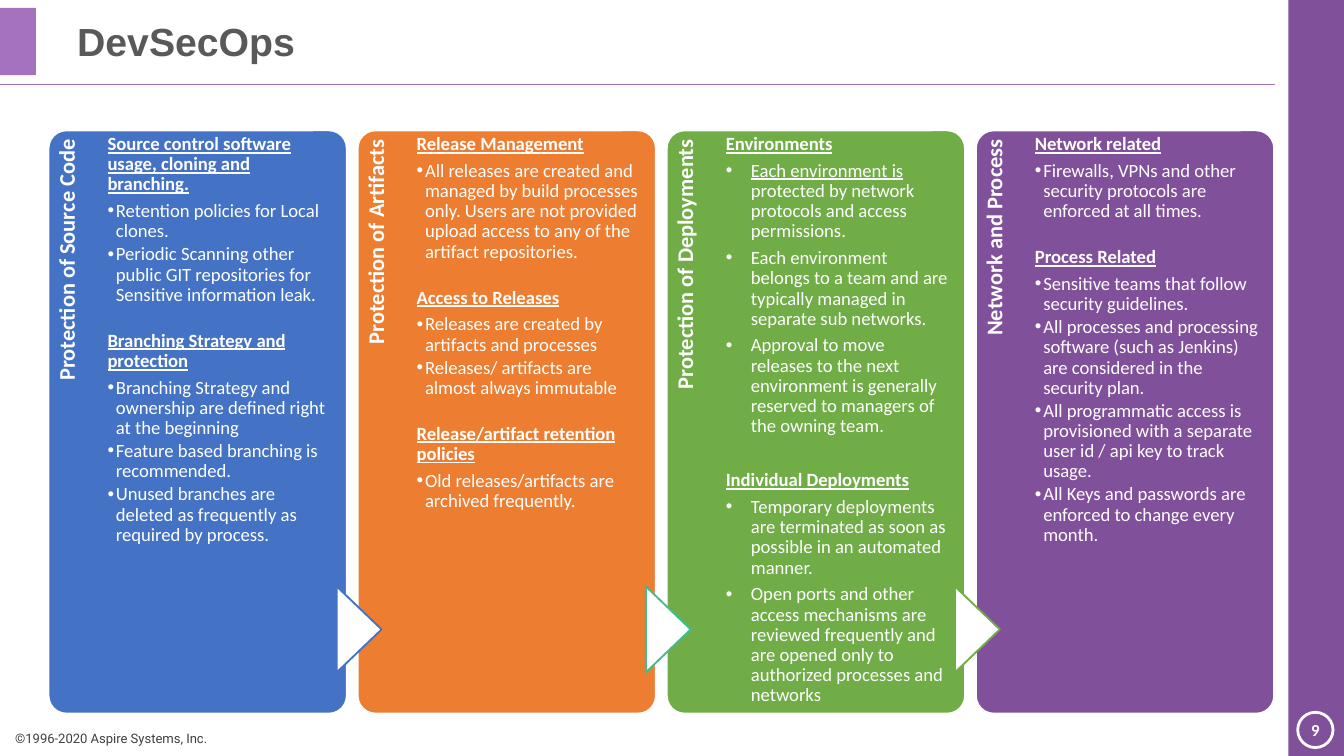
from pptx import Presentation
from pptx.dml.color import RGBColor
from pptx.enum.shapes import MSO_CONNECTOR, MSO_SHAPE
from pptx.enum.text import MSO_ANCHOR, MSO_AUTO_SIZE, PP_ALIGN
from pptx.oxml.ns import qn
from pptx.util import Pt
from lxml.etree import SubElement

WHITE = RGBColor(0xFF, 0xFF, 0xFF)
PURPLE = RGBColor(0x81, 0x50, 0x9B)
LILAC = RGBColor(0xA4, 0x72, 0xBE)
BLUE = RGBColor(0x44, 0x72, 0xC4)
ORANGE = RGBColor(0xED, 0x7D, 0x31)
GREEN = RGBColor(0x70, 0xAD, 0x47)
TEAL = RGBColor(0x43, 0xBB, 0x8D)
TITLE_GREY = RGBColor(0x59, 0x59, 0x59)
FOOTER_GREY = RGBColor(0x40, 0x40, 0x40)

# Bullet styles: indent, space after, space before a following heading
TIGHT = (4.5, 1.5, 12.3)
WIDE = (13.5, 3.5, 14.6)

# Each column: label, fill, line of the arrow leading into it, bullet style, sections
COLUMNS = [
    ("Protection of Source Code", BLUE, None, TIGHT, [
        ("Source control software usage, cloning and branching.", [
            "Retention policies for Local clones.",
            "Periodic Scanning other public GIT repositories for Sensitive information leak."]),
        ("Branching Strategy and protection", [
            "Branching Strategy and ownership are defined right at the beginning",
            "Feature based branching is recommended.",
            "Unused branches are deleted as frequently as required by process."])]),
    ("Protection of Artifacts", ORANGE, BLUE, TIGHT, [
        ("Release Management", [
            "All releases are created and managed by build processes only. Users are not "
            "provided upload access to any of the artifact repositories."]),
        ("Access to Releases", [
            "Releases are created by artifacts and processes",
            "Releases/ artifacts are almost always immutable"]),
        ("Release/artifact retention policies", [
            "Old releases/artifacts are archived frequently."])]),
    ("Protection of Deployments", GREEN, TEAL, WIDE, [
        ("Environments", [
            ("Each environment is ", "protected by network protocols and access permissions."),
            "Each environment belongs to a team and are typically managed in separate sub networks.",
            "Approval to move releases to the next environment is generally reserved to "
            "managers of the owning team."]),
        ("Individual Deployments", [
            "Temporary deployments are terminated as soon as possible in an automated manner.",
            "Open ports and other access mechanisms are reviewed frequently and are opened "
            "only to authorized processes and networks"])]),
    ("Network and Process", PURPLE, GREEN, TIGHT, [
        ("Network related", [
            "Firewalls, VPNs and other security protocols are enforced at all times."]),
        ("Process Related", [
            "Sensitive teams that follow security guidelines.",
            "All processes and processing software (such as Jenkins) are considered in the "
            "security plan.",
            "All programmatic access is provisioned with a separate user id / api key to "
            "track usage.",
            "All Keys and passwords are enforced to change every month."])]),
]


def place(sp, x, y, w, h):
    sp.left, sp.top, sp.width, sp.height = Pt(x), Pt(y), Pt(w), Pt(h)


def set_frame(sp, left, top, right, bottom, anchor=MSO_ANCHOR.TOP, wrap=True):
    tf = sp.text_frame
    tf.word_wrap, tf.auto_size, tf.vertical_anchor = wrap, MSO_AUTO_SIZE.NONE, anchor
    tf.margin_left, tf.margin_top = Pt(left), Pt(top)
    tf.margin_right, tf.margin_bottom = Pt(right), Pt(bottom)
    return tf


def add_run(p, text, size, color=WHITE, font="Calibri", bold=False, underline=False):
    r = p.add_run()
    r.text = text
    f = r.font
    f.name, f.size, f.bold, f.underline = font, Pt(size), bold, underline
    f.color.rgb = color


def add_shape(s, kind, x, y, w, h, fill=None, line=None, weight=1):
    sp = s.shapes.add_shape(kind, Pt(x), Pt(y), Pt(w), Pt(h))
    sp.shadow.inherit = False
    if fill is None:
        sp.fill.background()
    else:
        sp.fill.solid()
        sp.fill.fore_color.rgb = fill
    if line is None:
        sp.line.fill.background()
    else:
        sp.line.color.rgb = line
        sp.line.width = Pt(weight)
    return sp


def format_paragraph(p, before, after, bullet_indent=None):
    pPr = p._p.get_or_add_pPr()
    indent = Pt(bullet_indent or 0)
    pPr.set("marL", str(indent))
    pPr.set("indent", str(-indent))
    p.alignment = PP_ALIGN.LEFT
    p.line_spacing, p.space_before, p.space_after = 0.9, Pt(before), Pt(after)
    if bullet_indent is None:
        SubElement(pPr, qn("a:buNone"))
    else:
        SubElement(pPr, qn("a:buFont"), typeface="Arial")
        SubElement(pPr, qn("a:buChar"), char="•")


def header(s, x, y, w, h):
    # Accent block, title and rule
    add_shape(s, MSO_SHAPE.RECTANGLE, x, y + 4.3, 19.2, 36, LILAC)
    title = s.shapes.title
    place(title, x + 36, y + 6.5, 638.6, 31)
    p = set_frame(title, 5.3, 2.6, 5.3, 2.6, MSO_ANCHOR.MIDDLE).paragraphs[0]
    p.alignment = PP_ALIGN.LEFT
    add_run(p, "DevSecOps", 21, TITLE_GREY, "Arial", True)
    rule = s.shapes.add_connector(MSO_CONNECTOR.STRAIGHT, Pt(x), Pt(y + h), Pt(x + w), Pt(y + h))
    rule.line.color.rgb = LILAC
    rule.line.width = Pt(0.5)
    SubElement(rule._element.spPr, qn("a:effectLst"))


def side_band(s, x, y, w, h):
    # Band with the page number in a ring
    add_shape(s, MSO_SHAPE.RECTANGLE, x, y, w, h, PURPLE)
    ring = add_shape(s, MSO_SHAPE.OVAL, x + 5, y + h - 23.4, 18.9, 18.9, None, WHITE, 1.5)
    p = set_frame(ring, 0, 0, 0, 0, MSO_ANCHOR.MIDDLE, False).paragraphs[0]
    p.alignment = PP_ALIGN.CENTER
    add_run(p, "9", 9, bold=True)


def footer(s, x, y, w, h):
    box = s.shapes.add_textbox(Pt(x), Pt(y), Pt(w), Pt(h))
    p = set_frame(box, 5.3, 2.6, 5.3, 2.6).paragraphs[0]
    add_run(p, "©1996-2020 Aspire Systems, Inc.", 7, FOOTER_GREY, "Roboto")


def column(s, body, x, y, w, h, label, fill, arrow_line, style, sections):
    # Card turned a quarter to the left, so its label runs upwards
    card = add_shape(s, MSO_SHAPE.ROUNDED_RECTANGLE, x + (w - h) / 2, y + (h - w) / 2,
                     h, w, fill, WHITE)
    card.rotation = 270
    card.adjustments[0] = 0.06
    p = set_frame(card, 30, 1, 2, 118).paragraphs[0]
    p.alignment, p.line_spacing = PP_ALIGN.RIGHT, 0.9
    add_run(p, label, 12, bold=True)

    # Arrow from the column before
    if arrow_line is not None:
        arrow = add_shape(s, MSO_SHAPE.FLOWCHART_EXTRACT, x - 22.2, y + 255.4, 46, 24,
                          WHITE, arrow_line)
        arrow.rotation = 90

    # Sections, brought in front of the card
    s.shapes.element.append(body.element)
    place(body, x + 31.6, y, 119.6, h)
    tf = set_frame(body, 0, 2.2, 0, 0)
    indent, after, gap = style
    for i, (heading, items) in enumerate(sections):
        p = tf.add_paragraph() if i else tf.paragraphs[0]
        format_paragraph(p, gap if i else 0, 3.5)
        add_run(p, heading, 10, bold=True, underline=True)
        for item in items:
            p = tf.add_paragraph()
            format_paragraph(p, 0, after, indent)
            lead, rest = item if isinstance(item, tuple) else ("", item)
            if lead:
                add_run(p, lead, 10, underline=True)
            add_run(p, rest, 10)


def main():
    prs = Presentation()
    prs.slide_width, prs.slide_height = Pt(720), Pt(405)
    s = prs.slides.add_slide(prs.slide_layouts.get_by_name("Comparison"))
    bodies = [ph for ph in s.placeholders if ph.placeholder_format.idx > 0]
    footer(s, 2.9, 388.8, 149, 13.7)
    side_band(s, 690.2, 0, 29.8, 405)
    header(s, 0, 0, 683, 45.2)
    for i, (body, content) in enumerate(zip(bodies, COLUMNS)):
        column(s, body, 26 + i * 165.6, 69.8, 159.8, 312.5, *content)
    prs.save("out.pptx")


if __name__ == "__main__":
    main()
